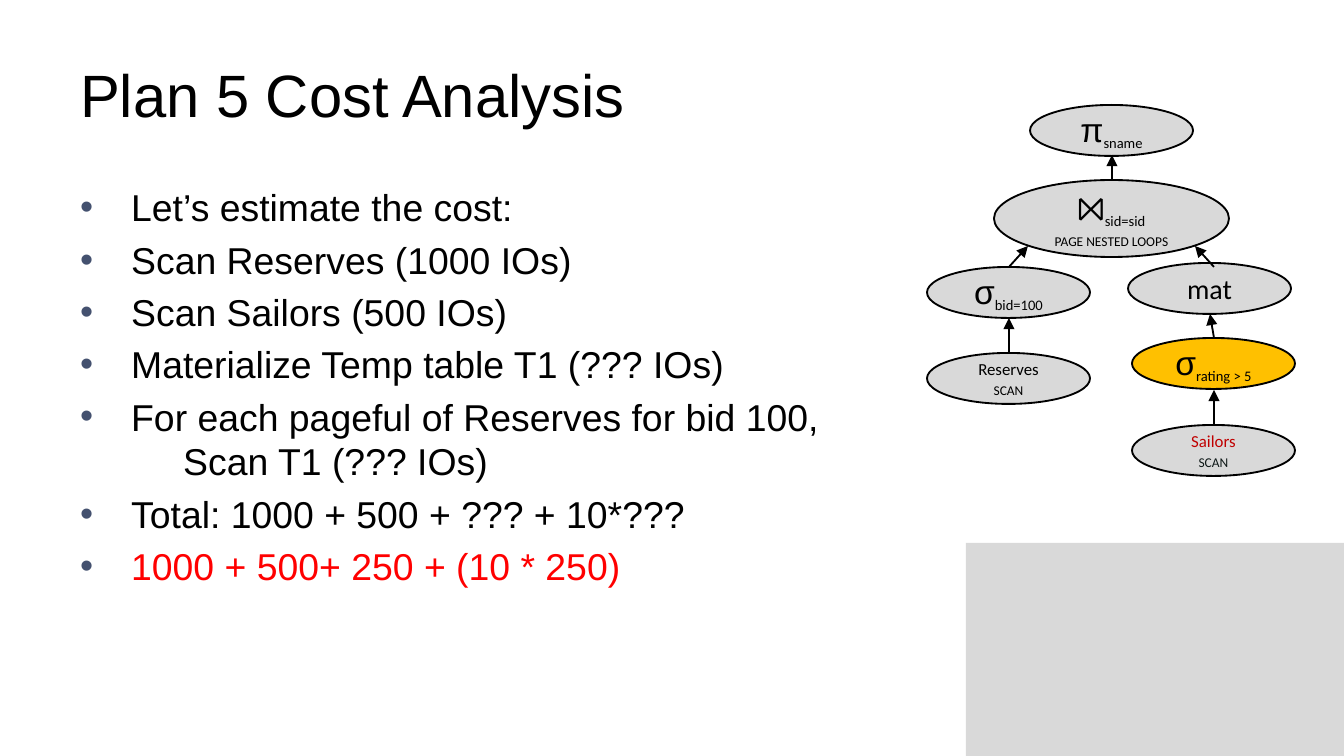
import pptx
import pptx.util
import pptx.dml.color
import pptx.enum.shapes
import pptx.enum.text
import pptx.oxml.ns
from lxml import etree

PX = 914400 / 134.4
RGBColor = pptx.dml.color.RGBColor
BLACK = RGBColor(0x00, 0x00, 0x00)
RED = RGBColor(0xFF, 0x00, 0x00)
DARK_RED = RGBColor(0xC0, 0x00, 0x00)
NEAR_BLACK = RGBColor(0x0E, 0x18, 0x17)
GREY = RGBColor(0xD9, 0xD9, 0xD9)
AMBER = RGBColor(0xFF, 0xC0, 0x00)
BULLET_COLOR = "44516F"
qn = pptx.oxml.ns.qn
MIDDLE = pptx.enum.text.MSO_ANCHOR.MIDDLE
SHAPES = pptx.enum.shapes.MSO_SHAPE


def emu(*lengths):
    """Turn px into EMU."""
    return [round(length * PX) for length in lengths]


def add_run(paragraph, text, size, font="Arial", color=BLACK, **attributes):
    """Add one run; extra attributes (baseline, cap) go on its properties."""
    run = paragraph.add_run()
    run.text = text
    run.font.size = pptx.util.Pt(size)
    run.font.name = font
    run.font.color.rgb = color
    for name, value in attributes.items():
        run.font._element.set(name, value)


presentation = pptx.Presentation()
presentation.slide_width, presentation.slide_height = emu(1344, 756)
slide = presentation.slides.add_slide(presentation.slide_layouts[6])

corner = slide.shapes.add_shape(SHAPES.RECTANGLE, *emu(966, 543, 378, 213))
corner.shadow.inherit = False
corner.fill.solid()
corner.fill.fore_color.rgb = GREY
corner.line.fill.background()

title = slide.shapes.add_textbox(*emu(67, 31, 1210, 126))
title.text_frame.word_wrap = True
title.text_frame.vertical_anchor = MIDDLE
add_run(title.text_frame.paragraphs[0], "Plan 5 Cost Analysis", 32)

# Text, colour, bulleted
cost_lines = [
    ("Let’s estimate the cost:", BLACK, True),
    ("Scan Reserves (1000 IOs)", BLACK, True),
    ("Scan Sailors (500 IOs)", BLACK, True),
    ("Materialize Temp table T1 (??? IOs)", BLACK, True),
    ("For each pageful of Reserves for bid 100,", BLACK, True),
    ("Scan T1 (??? IOs)", BLACK, False),
    ("Total: 1000 + 500 + ??? + 10*???", BLACK, True),
    ("1000 + 500+ 250 + (10 * 250)", RED, True),
]
body = slide.shapes.add_textbox(*emu(67, 178, 1210, 499))
body.text_frame.word_wrap = True
for index, (text, color, bulleted) in enumerate(cost_lines):
    paragraph = body.text_frame.paragraphs[0] if index == 0 else body.text_frame.add_paragraph()
    paragraph.line_spacing = pptx.util.Pt(24)
    paragraph.space_before = pptx.util.Pt(4 if index and bulleted else 0)
    properties = paragraph._p.get_or_add_pPr()
    margin, indent = emu(51, -51) if bulleted else emu(103, 0)
    properties.set("marL", str(margin))
    properties.set("indent", str(indent))
    if bulleted:
        bullet_color = etree.SubElement(properties, qn("a:buClr"))
        etree.SubElement(bullet_color, qn("a:srgbClr"), val=BULLET_COLOR)
        etree.SubElement(properties, qn("a:buFont"), typeface="Arial")
        etree.SubElement(properties, qn("a:buChar"), char="•")
    else:
        etree.SubElement(properties, qn("a:buNone"))
    add_run(paragraph, text, 20, color=color)

# Plan operators: left, top, width, height, fill, symbol, subscript
NODE = (163, 51)
operators = [
    (1030, 105, *NODE, GREY, "π", "sname"),
    (994, 180, 235, 77, GREY, "⨝", "sid=sid"),
    (927, 267, *NODE, GREY, "σ", "bid=100"),
    (1128, 263, *NODE, GREY, "mat", None),
    (1132, 338, *NODE, AMBER, "σ", "rating > 5"),
    (927, 353, *NODE, GREY, "Reserves", None),
    (1132, 425, *NODE, GREY, "Sailors", None),
]
table_colors = {"Reserves": (BLACK, BLACK), "Sailors": (DARK_RED, NEAR_BLACK)}
for left, top, width, height, fill, label, subscript in operators:
    node = slide.shapes.add_shape(SHAPES.OVAL, *emu(left, top, width, height))
    node.shadow.inherit = False
    node.fill.solid()
    node.fill.fore_color.rgb = fill
    node.line.color.rgb = BLACK
    node.line.width = pptx.util.Pt(1)
    frame = node.text_frame
    frame.word_wrap = True
    frame.vertical_anchor = MIDDLE
    frame.margin_left, frame.margin_top, frame.margin_right, frame.margin_bottom = emu(9, 5, 9, 5)
    paragraph = frame.paragraphs[0]
    paragraph.alignment = pptx.enum.text.PP_ALIGN.CENTER
    if subscript:
        add_run(paragraph, label, 18)
        add_run(paragraph, subscript, 13.5, "Calibri", baseline="-25000")
        if label == "⨝":
            paragraph.add_line_break()
            add_run(paragraph, "page nested loops", 9, "Calibri", cap="small")
    elif label in table_colors:
        name_color, scan_color = table_colors[label]
        add_run(paragraph, label, 9, "Calibri", name_color)
        paragraph = frame.add_paragraph()
        paragraph.alignment = pptx.enum.text.PP_ALIGN.CENTER
        add_run(paragraph, "scan", 9, "Calibri", scan_color, cap="small")
    else:
        add_run(paragraph, label, 15, "Calibri")

# Data flow, from the lower operator to the upper one
flows = [
    (1009, 353, 1009, 318),
    (1214, 425, 1214, 390),
    (1214, 338, 1210, 314),
    (1214, 267, 1195, 246),
    (1009, 267, 1028, 246),
    (1112, 179, 1112, 155),
]
for flow in flows:
    arrow = slide.shapes.add_connector(pptx.enum.shapes.MSO_CONNECTOR.STRAIGHT, *emu(*flow))
    arrow.line.color.rgb = BLACK
    arrow.line.width = pptx.util.Pt(1)
    etree.SubElement(arrow.line._get_or_add_ln(), qn("a:tailEnd"), type="triangle")
    etree.SubElement(arrow._element.spPr, qn("a:effectLst"))

presentation.save("out.pptx")
